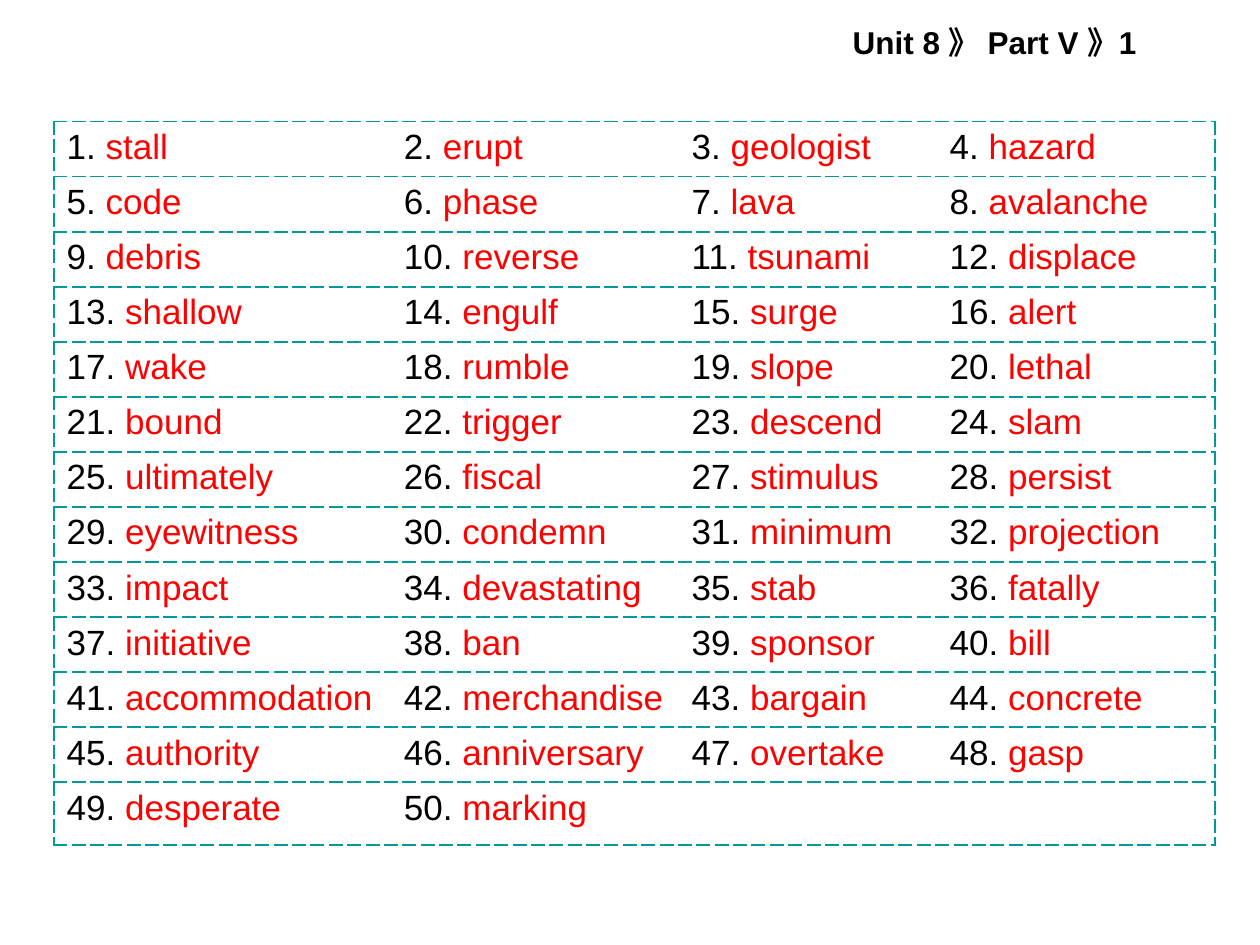
"""Build a vocabulary slide: a numbered word table under a unit heading."""
from lxml import etree
from pptx import Presentation
from pptx import util as u
from pptx.dml.color import RGBColor
from pptx.enum import text
from pptx.oxml import ns

HEAD = "Unit 8 》 Part V 》1"
WORDS = [
    "stall", "erupt", "geologist", "hazard",
    "code", "phase", "lava", "avalanche",
    "debris", "reverse", "tsunami", "displace",
    "shallow", "engulf", "surge", "alert",
    "wake", "rumble", "slope", "lethal",
    "bound", "trigger", "descend", "slam",
    "ultimately", "fiscal", "stimulus", "persist",
    "eyewitness", "condemn", "minimum", "projection",
    "impact", "devastating", "stab", "fatally",
    "initiative", "ban", "sponsor", "bill",
    "accommodation", "merchandise", "bargain", "concrete",
    "authority", "anniversary", "overtake", "gasp",
    "desperate", "marking",
]
WIDTHS = [6.8, 5.8, 5.2, 5.6]
ROW, LAST = 1.11, 1.27
FONT = "Arial"
BLACK = RGBColor(0, 0, 0)
RED = RGBColor(255, 0, 0)
TEAL = RGBColor(0, 153, 153)


def style(run, size, color, bold=False):
    """Set the font of a run."""
    font = run.font
    font.name, font.size, font.bold = FONT, u.Pt(size), bold
    font.color.rgb = color


def edge(cell, side, shown):
    """Give one side of a cell a dashed line or none."""
    props = cell._tc.get_or_add_tcPr()
    line = etree.SubElement(props, ns.qn(f"a:ln{side}"), w=str(u.Pt(1.08)))
    if not shown:
        etree.SubElement(line, ns.qn("a:noFill"))
        return
    fill = etree.SubElement(line, ns.qn("a:solidFill"))
    etree.SubElement(fill, ns.qn("a:srgbClr"), val=str(TEAL))
    etree.SubElement(line, ns.qn("a:prstDash"), val="dash")


def add_head(slide):
    """Add the unit heading."""
    box = slide.shapes.add_textbox(u.Cm(16.94), u.Cm(0.33), u.Cm(6.86), u.Cm(1.02))
    frame = box.text_frame
    frame.word_wrap = False
    frame.auto_size = text.MSO_AUTO_SIZE.SHAPE_TO_FIT_TEXT
    frame.text = HEAD
    style(frame.paragraphs[0].runs[0], 18, BLACK, True)


def add_words(slide):
    """Add the table of numbered words."""
    cols = len(WIDTHS)
    rows = -(-len(WORDS) // cols)
    high = ROW * (rows - 1) + LAST
    table = slide.shapes.add_table(
        rows, cols, u.Cm(1.09), u.Cm(2.45), u.Cm(sum(WIDTHS)), u.Cm(high)).table
    table.first_row = table.horz_banding = False
    for col, wide in zip(table.columns, WIDTHS):
        col.width = u.Cm(wide)
    for row in table.rows:
        row.height = u.Cm(ROW)
    table.rows[rows - 1].height = u.Cm(LAST)
    for i, cell in enumerate(table.iter_cells()):
        col = i % cols
        sides = {"L": col == 0, "R": col == cols - 1, "T": True, "B": True}
        for side, shown in sides.items():
            edge(cell, side, shown)
        cell.fill.background()
        if i < len(WORDS):
            para = cell.text_frame.paragraphs[0]
            for part, color in ((f"{i + 1}. ", BLACK), (WORDS[i], RED)):
                run = para.add_run()
                run.text = part
                style(run, 20, color)


def main():
    """Build and save the deck."""
    deck = Presentation()
    deck.slide_width, deck.slide_height = u.Cm(25.4), u.Cm(19.05)
    slide = deck.slides.add_slide(deck.slide_layouts[6])
    add_words(slide)
    add_head(slide)
    deck.save("out.pptx")


if __name__ == "__main__":
    main()
